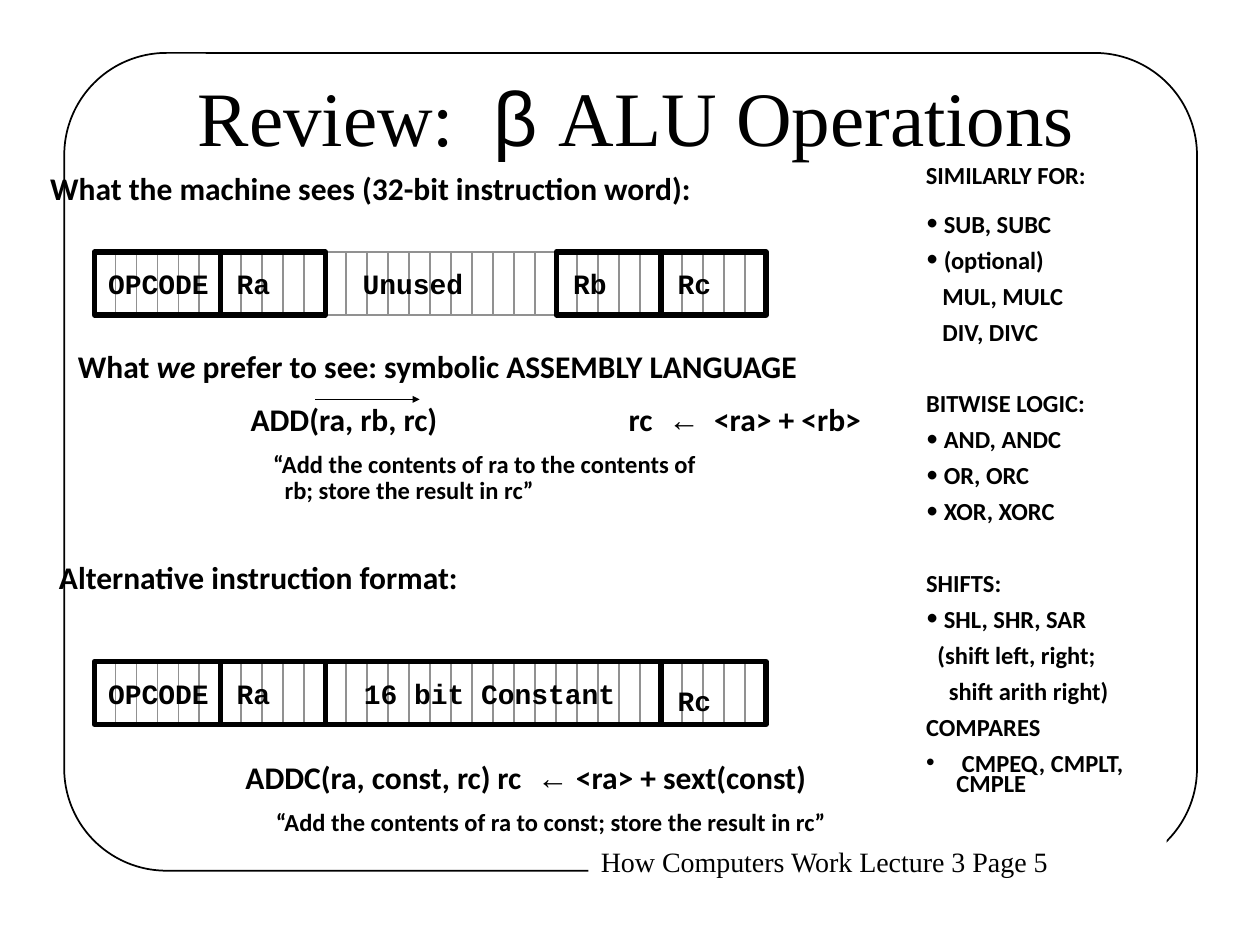
import pptx
import pptx.dml.color
import pptx.enum.shapes
import pptx.enum.text
import pptx.oxml
import pptx.oxml.ns
import pptx.util
from pptx.util import Inches

COLORS = {"black": "000000", "grey": "919191", "white": "FFFFFF"}
HEADING = {"name": "Calibri", "size": pptx.util.Pt(18), "bold": True}
DETAIL = {"name": "Calibri", "size": pptx.util.Pt(14), "bold": True}
CODE = {"name": "Courier New", "size": pptx.util.Pt(16), "bold": True}
TITLE = {"name": "Times New Roman", "size": pptx.util.Pt(44)}
FOOTER = {"name": "Times New Roman", "size": pptx.util.Pt(16)}
ARIAL = {"name": "Arial"}
SHAPES = pptx.enum.shapes.MSO_SHAPE
NAMESPACE = pptx.oxml.ns.nsdecls("a")


def add_runs(paragraph, runs, style):
    """Add (text, overrides) pairs; a plain string is one run."""
    for text, overrides in [(runs, {})] if isinstance(runs, str) else runs:
        run = paragraph.add_run()
        run.text = text
        for name, value in {**style, **overrides}.items():
            setattr(run.font, name, value)
        run.font.color.rgb = pptx.dml.color.RGBColor.from_string(COLORS["black"])


def add_text(shapes, position, lines, style, line_spacing=0.9):
    box = shapes.add_textbox(*map(Inches, position))
    frame = box.text_frame
    frame.word_wrap = False
    frame.auto_size = pptx.enum.text.MSO_AUTO_SIZE.SHAPE_TO_FIT_TEXT
    for index, runs in enumerate(lines):
        paragraph = frame.add_paragraph() if index else frame.paragraphs[0]
        paragraph.line_spacing = line_spacing
        add_runs(paragraph, runs, style)
    return box


presentation = pptx.Presentation()
presentation.slide_width, presentation.slide_height = Inches(10), Inches(7.5)
slide = presentation.slides.add_slide(presentation.slide_layouts[1])
black, grey, white = (pptx.dml.color.RGBColor.from_string(value) for value in COLORS.values())

# Frame and footer
frame_shape = slide.shapes.add_shape(
    SHAPES.ROUNDED_RECTANGLE, Inches(0.51), Inches(0.42), Inches(8.99), Inches(6.49))
frame_shape.adjustments[0] = 0.125
frame_shape.shadow.inherit = False
frame_shape.fill.background()
frame_shape.line.color.rgb = black
frame_shape.line.width = pptx.util.Pt(1)
footer = add_text(slide.shapes, (4.67, 6.65, 4.59, 0.37),
                  ["How Computers Work Lecture 3 Page 5"], FOOTER, 1.0)
footer.fill.solid()
footer.fill.fore_color.rgb = white

# Title and side list
title, side_list = slide.placeholders
for placeholder, position in ((title, (1.03, 0.61, 8.04, 0.62)),
                              (side_list, (7.25, 1.67, 2.26, 4.7))):
    (placeholder.left, placeholder.top,
     placeholder.width, placeholder.height) = map(Inches, position)
    placeholder.text_frame.word_wrap = True
    placeholder.text_frame.auto_size = pptx.enum.text.MSO_AUTO_SIZE.NONE
add_runs(title.text_frame.paragraphs[0],
         [("Review:  ", {}), ("β ", ARIAL), ("ALU Operations", {})], TITLE)

# Text, left margin, bullet font (None for no bullet), space before
GAP, SECTION_GAP = 8.8, 29.2
side_items = [
    ("SUB, SUBC", 0.14, "Calibri", GAP),
    ("(optional)", 0.14, "Calibri", GAP),
    ("MUL, MULC", 0.13, None, GAP),
    ("DIV, DIVC", 0.13, None, GAP),
    ("BITWISE LOGIC:", 0, None, SECTION_GAP),
    ("AND, ANDC", 0.14, "Calibri", GAP),
    ("OR, ORC", 0.14, "Calibri", GAP),
    ("XOR, XORC", 0.14, "Calibri", GAP),
    ("SHIFTS:", 0, None, SECTION_GAP),
    ("SHL, SHR, SAR", 0.14, "Calibri", GAP),
    ("(shift left, right;", 0.09, None, GAP),
    ("shift arith right)", 0.18, None, GAP),
    ("COMPARES", 0, None, GAP),
    (" CMPEQ, CMPLT, CMPLE", 0.24, "Arial", GAP),
]
for index, (text, margin, bullet_font, space) in enumerate(side_items):
    frame = side_list.text_frame
    paragraph = frame.add_paragraph() if index else frame.paragraphs[0]
    paragraph.line_spacing = 0.7
    paragraph.space_before = pptx.util.Pt(space)
    add_runs(paragraph, text, DETAIL)
    properties = paragraph._p.get_or_add_pPr()
    properties.set("marL", str(Inches(margin)))
    properties.set("indent", str(-Inches(margin) if bullet_font else 0))
    bullet_tags = ([f'<a:buFont {NAMESPACE} typeface="{bullet_font}"/>',
                    f'<a:buChar {NAMESPACE} char="•"/>']
                   if bullet_font else [f"<a:buNone {NAMESPACE}/>"])
    for tag in bullet_tags:
        properties.append(pptx.oxml.parse_xml(tag))

side_heading = add_text(slide.shapes, (7.25, 1.25, 2.17, 0.31), ["SIMILARLY FOR:"], DETAIL)
side_heading.text_frame.word_wrap = True
side_heading.text_frame.paragraphs[0].space_before = pptx.util.Pt(GAP)

# Headings and explanations
for position, lines, style in [
    ((0.3, 1.33, 6.27, 0.37), ["What the machine sees (32-bit instruction word):"], HEADING),
    ((0.52, 2.74, 6.97, 0.37),
     [[("What ", {}), ("we ", {"italic": True}),
       ("prefer to see: symbolic ASSEMBLY LANGUAGE", {})]], HEADING),
    ((0.37, 4.41, 4.07, 0.37), ["Alternative instruction format:"], HEADING),
    ((2.09, 6.38, 5.48, 0.31),
     ["“Add the contents of ra to const; store the result in rc”"], DETAIL),
]:
    add_text(slide.shapes, position, lines, style)
quote = add_text(slide.shapes, (2.07, 3.54, 4.25, 0.52),
                 ["“Add the contents of ra to the contents of",
                  "rb; store the result in rc”"], DETAIL)
quote.text_frame.paragraphs[1]._p.get_or_add_pPr().set("marL", str(Inches(0.09)))

# Assembly statements, aligned on tab stops
for position, call, result in [
    ((1.89, 3.16, 5.35, 0.37), "ADD(ra, rb, rc)\t\trc ", "  <ra> + <rb>"),
    ((1.85, 6, 6.1, 0.37), "ADDC(ra, const, rc)\trc ", " <ra> + sext(const)"),
]:
    statement = add_text(slide.shapes, position,
                         [[(call, {}), (" ←", ARIAL), (result, {})]], HEADING)
    stops = "".join(f'<a:tab pos="{Inches(stop)}" algn="l"/>' for stop in (1, 2, 3))
    statement.text_frame.paragraphs[0]._p.get_or_add_pPr().append(
        pptx.oxml.parse_xml(f"<a:tabLst {NAMESPACE}>{stops}</a:tabLst>"))

arrow = slide.shapes.add_connector(pptx.enum.shapes.MSO_CONNECTOR.STRAIGHT,
                                   Inches(2.5), Inches(3.17), Inches(3.33), Inches(3.17))
arrow.line.color.rgb = black
arrow.line.width = pptx.util.Pt(1)
arrow.line._get_or_add_ln().append(
    pptx.oxml.parse_xml(f'<a:tailEnd {NAMESPACE} type="triangle" w="sm" len="sm"/>'))
arrow._element.spPr.append(pptx.oxml.parse_xml(f"<a:effectLst {NAMESPACE}/>"))

# Instruction words: 32 bit cells, fields as (first bit, bit count), labels
BITS, BIT_WIDTH, WORD_LEFT, WORD_HEIGHT = 32, 5.33 / 32, 0.75, 0.5
instruction_words = [
    (2, [(0, 6), (6, 5), (22, 5), (27, 5)],
     [("OPCODE", 0.76, 0.1, 1.05), ("Ra", 1.78, 0.1, 0.52), ("Unused", 2.78, 0.1, 1.05),
      ("Rb", 4.45, 0.1, 0.52), ("Rc", 5.28, 0.1, 0.52)]),
    (5.25, [(0, 6), (6, 5), (11, 16), (27, 5)],
     [("OPCODE", 0.76, 0.1, 1.05), ("Ra", 1.78, 0.1, 0.52),
      ("16 bit Constant", 2.79, 0.1, 2.3), ("Rc", 5.28, 0.16, 0.52)]),
]
for top, fields, labels in instruction_words:
    group = slide.shapes.add_group_shape()
    boxes = [(bit, 1, grey, 1) for bit in range(BITS)]
    boxes += [(first, count, black, 3) for first, count in fields]
    for first, count, color, line_width in boxes:
        box = group.shapes.add_shape(
            SHAPES.RECTANGLE, Inches(WORD_LEFT + first * BIT_WIDTH), Inches(top),
            Inches(count * BIT_WIDTH), Inches(WORD_HEIGHT))
        box.shadow.inherit = False
        box.fill.background()
        box.line.color.rgb = color
        box.line.width = pptx.util.Pt(line_width)
    for text, left, offset, width in labels:
        add_text(group.shapes, (left, top + offset, width, 0.34), [text], CODE)

presentation.save("out.pptx")
